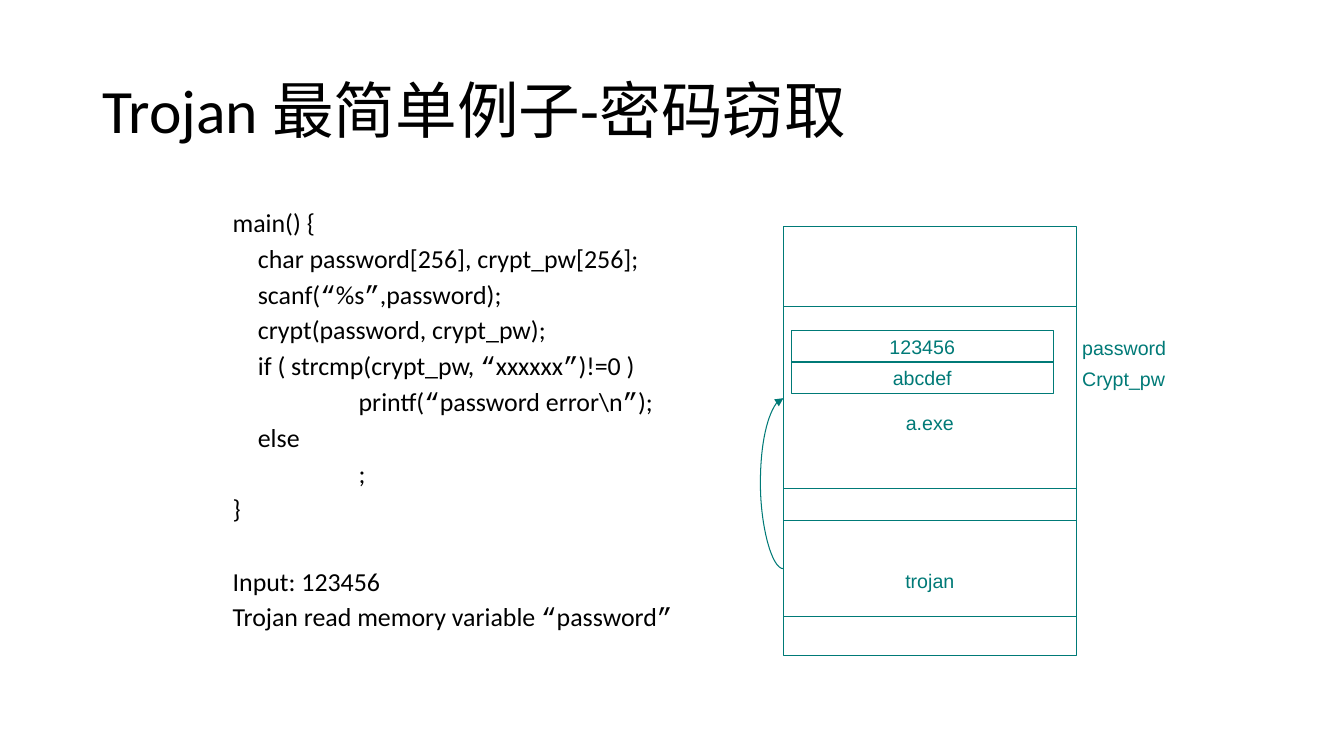
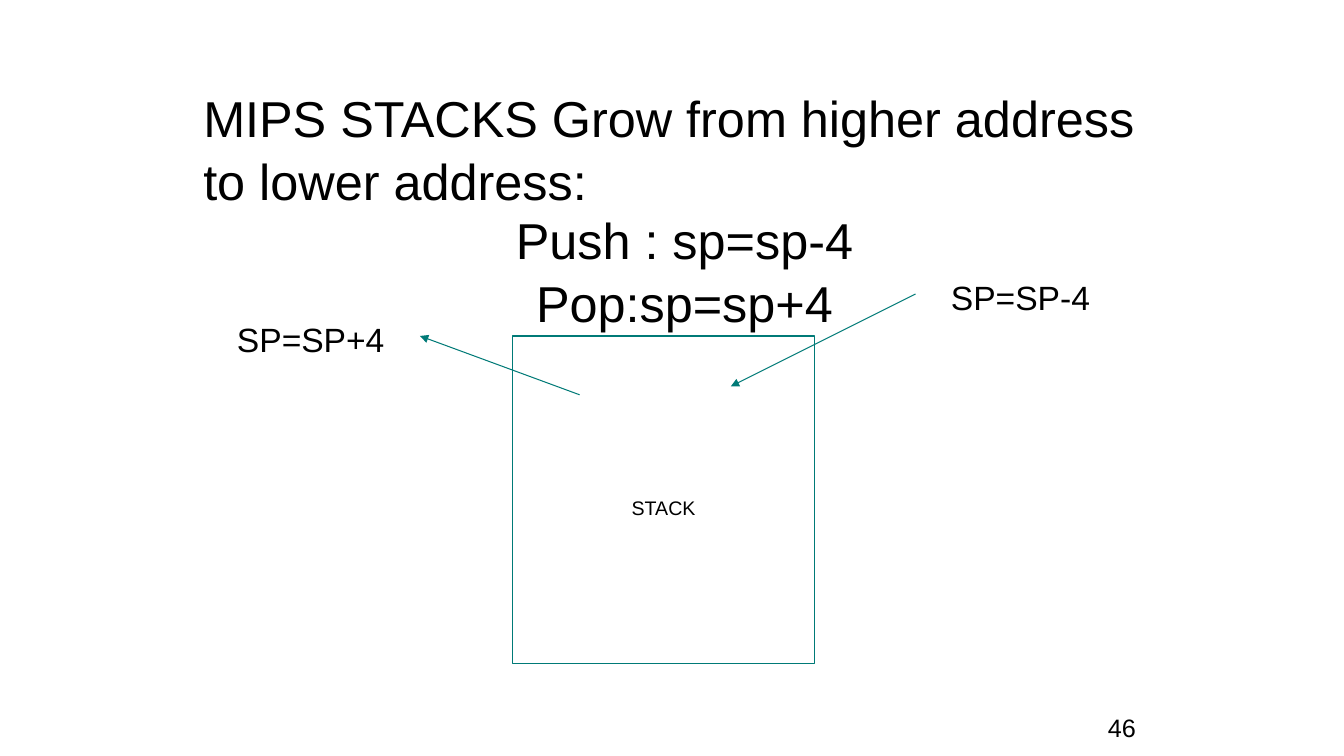
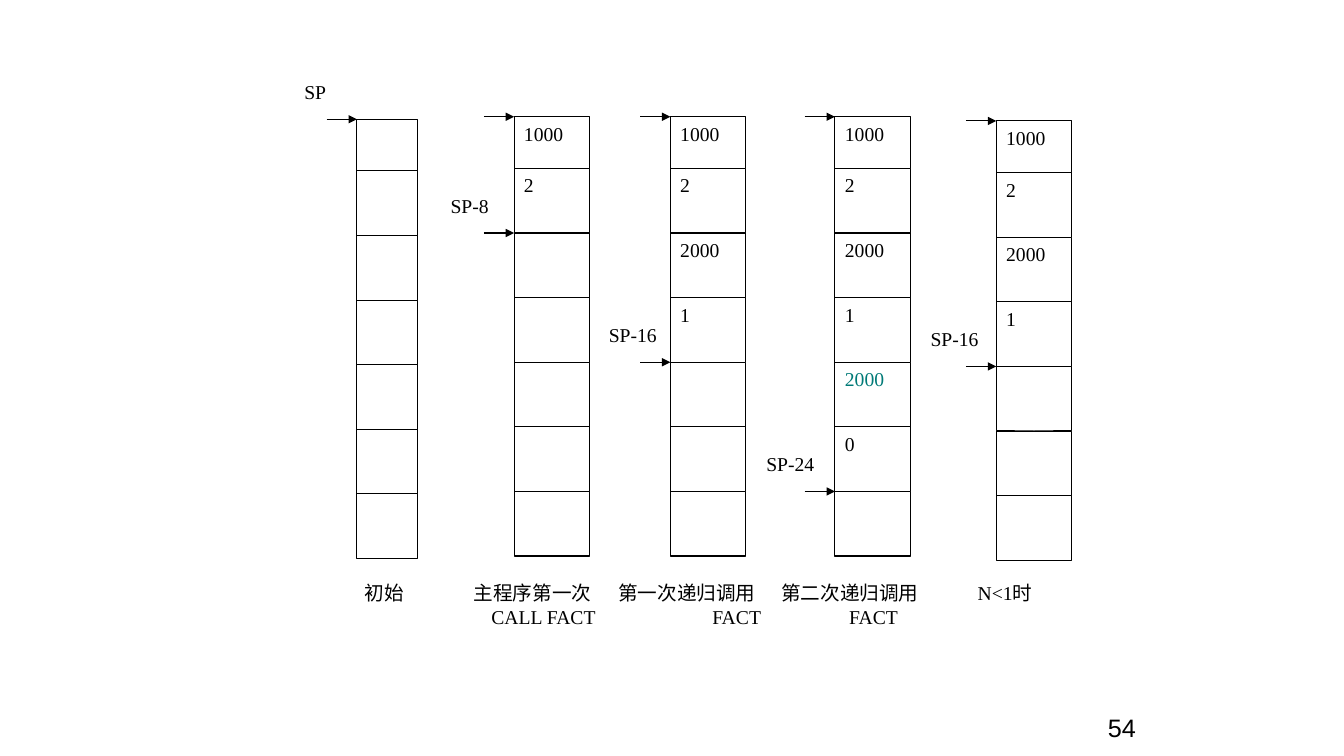
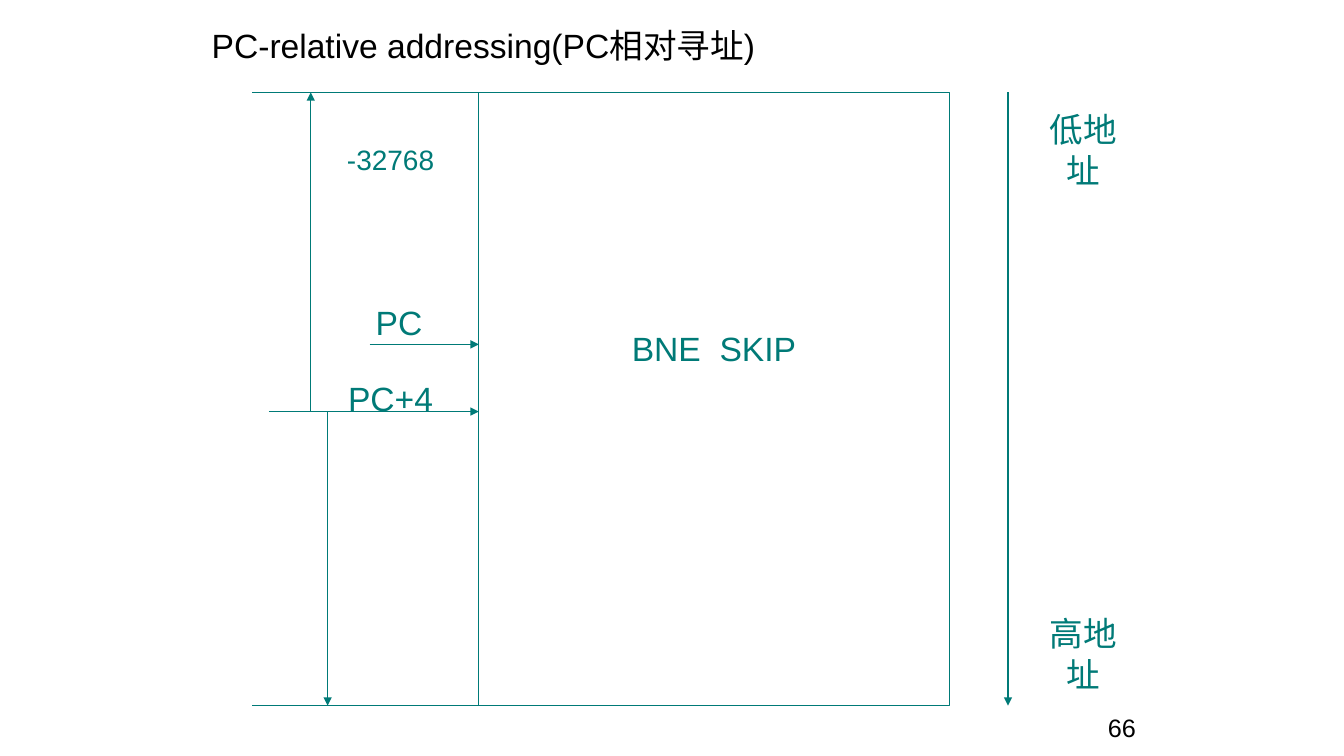
import dataclasses
import itertools

import lxml.etree
import pptx
import pptx.dml.color
import pptx.enum.shapes
import pptx.enum.text
import pptx.oxml.ns
import pptx.util

ALIGN = pptx.enum.text.PP_ALIGN
ANCHOR = pptx.enum.text.MSO_ANCHOR
SHAPE = pptx.enum.shapes.MSO_SHAPE
CONNECTOR = pptx.enum.shapes.MSO_CONNECTOR
COLUMNS, ROWS = 160, 90
TITLE_ONLY, TITLE_AND_BODY, BLANK = 5, 1, 6


@dataclasses.dataclass(frozen=True)
class Theme:
    teal: str = "007A77"
    black: str = "000000"
    white: str = "FFFFFF"
    sans: str = "Arial"
    serif: str = "Times New Roman"
    text: str = "Calibri"
    quote: str = "Courier New"
    title: float = 44
    headline: float = 36
    note: float = 24
    offset: float = 20
    page: float = 18
    code: float = 18.5
    label: float = 14
    line: float = 0.75


THEME = Theme()


@dataclasses.dataclass(frozen=True)
class Box:
    left: float
    top: float
    width: float
    height: float

    def inside(self, left, top, width, height):
        return Box(self.left + left, self.top + top, width, height)

    def point(self, column, row):
        return self.left + column, self.top + row

    @property
    def frame(self):
        return [grid(value) for value in (self.left, self.top, self.width, self.height)]


def grid(units):
    return pptx.util.Inches(units / 12)


def rgb(colour):
    return pptx.dml.color.RGBColor.from_string(colour)


def apply(target, values):
    for name, value in values.items():
        setattr(target, name, value)


def add_child(parent, tag, **attributes):
    child = lxml.etree.SubElement(parent, pptx.oxml.ns.qn(tag))
    for name, value in attributes.items():
        child.set(name, value)
    return child


def add_span(para, text, font, size, colour):
    span = para.add_run()
    span.text = text
    apply(span.font, {"name": font, "size": pptx.util.Pt(size)})
    span.font.color.rgb = rgb(colour)


def write(frame, lines, font, size, colour, para_format, frame_format):
    apply(frame, {"word_wrap": True, "auto_size": pptx.enum.text.MSO_AUTO_SIZE.NONE,
                  "vertical_anchor": ANCHOR.TOP, **frame_format})
    for index, line in enumerate(lines):
        para = frame.add_paragraph() if index else frame.paragraphs[0]
        apply(para, para_format)
        for quoted, letters in itertools.groupby(line, lambda letter: letter in "“”"):
            add_span(para, "".join(letters), THEME.quote if quoted else font, size, colour)


def place(shape, box):
    apply(shape, dict(zip(("left", "top", "width", "height"), box.frame)))


def indent(para, left, first=0):
    properties = para._p.get_or_add_pPr()
    properties.set("marL", str(grid(left)))
    properties.set("indent", str(grid(first)))


def unbullet(frame):
    for para in frame.paragraphs:
        indent(para, 0)
        add_child(para._p.get_or_add_pPr(), "a:buNone")


def add_title(page, box, text, font, size, spacing=1.0, anchor=ANCHOR.TOP):
    title = page.shapes.title
    place(title, box)
    write(title.text_frame, [text], font, size, THEME.black,
          {"alignment": ALIGN.LEFT, "line_spacing": spacing},
          {"vertical_anchor": anchor,
           "margin_top": grid(1 if anchor == ANCHOR.TOP else 0.6)})


def add_note(page, box, text, size=THEME.note, colour=THEME.teal, alignment=ALIGN.CENTER):
    note = page.shapes.add_textbox(*box.frame)
    write(note.text_frame, [text], THEME.sans, size, colour,
          {"alignment": alignment}, {"margin_top": grid(1)})


def add_page_number(page, number):
    add_note(page, Box(106.4, 83.75, 30, 6.25), number, THEME.page, THEME.black, ALIGN.RIGHT)


def add_rectangle(page, box, colour=THEME.teal, fill=None):
    rectangle = page.shapes.add_shape(SHAPE.RECTANGLE, *box.frame)
    rectangle.shadow.inherit = False
    if fill:
        rectangle.fill.solid()
        rectangle.fill.fore_color.rgb = rgb(fill)
    else:
        rectangle.fill.background()
    rectangle.line.color.rgb = rgb(colour)
    rectangle.line.width = pptx.util.Pt(THEME.line)
    return rectangle


def add_line(page, start, end, colour=THEME.teal, arrow=True, kind=CONNECTOR.STRAIGHT):
    line = page.shapes.add_connector(kind, *[grid(value) for value in (*start, *end)])
    line.line.color.rgb = rgb(colour)
    line.line.width = pptx.util.Pt(THEME.line)
    properties = line.element.spPr
    if arrow:
        add_child(properties.get_or_add_ln(), "a:tailEnd", type="triangle")
    add_child(properties, "a:effectLst")
    return line


def add_return_curve(page, start, end):
    curve = add_line(page, start, end, kind=CONNECTOR.CURVE)
    properties = curve.element.spPr
    transform = properties.find(pptx.oxml.ns.qn("a:xfrm"))
    transform.set("rot", "10800000")
    transform.set("flipH", "1")
    geometry = properties.find(pptx.oxml.ns.qn("a:prstGeom"))
    for guides in geometry.findall(pptx.oxml.ns.qn("a:avLst")):
        geometry.remove(guides)
    add_child(add_child(geometry, "a:avLst"), "a:gd", name="adj1", fmla="val -14400000")


def add_code(page, box):
    lines = [
        (0, "main() {"),
        (3, "char password[256], crypt_pw[256];"),
        (3, "scanf(“%s”,password);"),
        (3, "crypt(password, crypt_pw);"),
        (3, "if ( strcmp(crypt_pw, “xxxxxx”)!=0 )"),
        (15, "printf(“password error\\n”);"),
        (3, "else"),
        (15, ";"),
        (0, "}"),
        (0, "Input: 123456"),
        (0, "Trojan read memory variable “password”"),
    ]
    body = page.placeholders[1]
    place(body, box)
    frame = body.text_frame
    write(frame, [text for _, text in lines], THEME.text, THEME.code, THEME.black,
          {"line_spacing": 0.7, "space_before": pptx.util.Pt(10)}, {})
    unbullet(frame)
    for para, (left, text) in zip(frame.paragraphs, lines):
        indent(para, left or 3, 0 if left else -3)
        if text.startswith("Input"):
            para.space_before = pptx.util.Pt(36)


def add_memory(page, box):
    add_rectangle(page, box)
    parts = [
        ("123456", box.inside(0.95, 12.35, 31.2, 3.8), 0.6),
        ("abcdef", box.inside(0.95, 16.1, 31.2, 3.8), 0.6),
        ("a.exe", box.inside(0, 9.5, box.width, 21.7), 6.6),
        ("trojan", box.inside(0, 35, box.width, 11.4), 3.4),
    ]
    for text, part, margin in parts:
        write(add_rectangle(page, part).text_frame, [text], THEME.sans, THEME.label, THEME.teal,
              {"alignment": ALIGN.CENTER},
              {"word_wrap": False, "vertical_anchor": ANCHOR.MIDDLE, "margin_top": grid(margin)})
    add_return_curve(page, box.point(0, 20.4), box.point(0.02, 40.7))
    for row, name in ((12.35, "password"), (16.1, "Crypt_pw")):
        label = page.shapes.add_textbox(*box.inside(box.width - 0.5, row, 12.4, 4).frame)
        write(label.text_frame, [name], THEME.sans, THEME.label, THEME.teal,
              {}, {"word_wrap": False})


def add_stack_rules(page, box):
    body = page.placeholders[1]
    place(body, box)
    write(body.text_frame, ["Push : sp=sp-4", "Pop:sp=sp+4"], THEME.sans, THEME.headline,
          THEME.black, {"alignment": ALIGN.CENTER, "line_spacing": 1.05,
                        "space_before": pptx.util.Pt(0)}, {"margin_top": grid(1)})
    unbullet(body.text_frame)


def add_stack_flow(page, box):
    add_rectangle(page, box)
    add_line(page, box.point(48, -5), box.point(26, 6))
    add_line(page, box.point(8, 7), box.point(-11, 0))
    for place_at, text, size in (
        ((49, -8, 23, 6), "SP=SP-4", THEME.note),
        ((-36, -3, 24, 6), "SP=SP+4", THEME.note),
        ((7, 18, 22, 4), "STACK", THEME.label),
    ):
        add_note(page, box.inside(*place_at), text, size, THEME.black)


def add_frame_text(page, shape, text, colour=THEME.black):
    write(shape.text_frame, [text], THEME.serif, THEME.label, colour,
          {"alignment": ALIGN.LEFT}, {})


def add_call_stack(page, box, values, pointers):
    first, cells = 6.15, 7
    step = (box.height - first) / (cells - 1)
    edges = [0] + [first + step * index for index in range(cells)]
    for index, (top, bottom) in enumerate(itertools.pairwise(edges)):
        cell = add_rectangle(page, box.inside(0, top, box.width, bottom - top),
                             THEME.black, THEME.white)
        if index < len(values):
            add_frame_text(page, cell, values[index], THEME.teal if index == 4 else THEME.black)
    for edge, label, reach in pointers:
        add_line(page, box.point(-3.6, edges[edge]), box.point(0, edges[edge]), THEME.black)
        if label:
            area = box.inside(-reach, edges[edge] - 5.3, 9, 4.5)
            add_frame_text(page, page.shapes.add_textbox(*area.frame), label)


def add_caption(page, box, lines, second_indent):
    caption = page.shapes.add_textbox(*box.frame)
    write(caption.text_frame, lines, THEME.serif, THEME.label, THEME.black, {},
          {"word_wrap": False, "margin_left": 0})
    for para in caption.text_frame.paragraphs[1:]:
        indent(para, second_indent)


def add_address_map(page, box):
    add_rectangle(page, box)
    middle, side = 38, box.width + 7
    for start, end, arrow in (
        ((-13, 30), (0, 30), True),
        ((-25, middle), (0, middle), True),
        ((0, box.height), (-27, box.height), False),
        ((0, 0), (-27, 0), False),
        ((-20, middle), (-20, 0), True),
        ((-18, middle), (-18, box.height), True),
        ((side, 0), (side, box.height), True),
    ):
        add_line(page, box.point(*start), box.point(*end), arrow=arrow)
    for place_at, text, size in (
        ((-18, 24, 17, 6), "PC", THEME.note),
        ((-19, 33, 17, 6), "PC+4", THEME.note),
        ((1, 27, 54, 6), "BNE  SKIP", THEME.note),
        ((side + 3, 1, 12, 11), "低地址", THEME.note),
        ((side + 3, 61, 12, 11), "高地址", THEME.note),
        ((-18, 5, 15, 5), "-32768", THEME.offset),
    ):
        add_note(page, box.inside(*place_at), text, size)


def add_trojan_page(page):
    add_title(page, Box(11, 4.8, 138, 17.4), "Trojan 最简单例子-密码窃取",
              THEME.text, THEME.title, 0.9, ANCHOR.MIDDLE)
    add_code(page, Box(26.5, 25, 63, 54))
    add_memory(page, Box(93.25, 27, 34.9, 51))


def add_stack_page(page):
    add_title(page, Box(23, 9, 117, 15),
              "MIPS STACKS Grow from higher address to lower address:",
              THEME.sans, THEME.headline, 1.05)
    add_stack_rules(page, Box(23, 23.5, 117, 15))
    add_stack_flow(page, Box(61, 40, 36, 39))
    add_page_number(page, "46")


def add_recursion_page(page):
    stacks = [
        (42.5, 14.2, 7.2, [], [(0, "SP", 7.45)]),
        (61.2, 13.9, 9, ["1000", "2"], [(0, "", 0), (2, "SP-8", 8.75)]),
        (79.8, 13.9, 9, ["1000", "2", "2000", "1"], [(0, "", 0), (4, "SP-16", 8.5)]),
        (99.4, 13.9, 9, ["1000", "2", "2000", "1", "2000", "0"],
         [(0, "", 0), (6, "SP-24", 9.35)]),
        (118.6, 14.4, 9, ["1000", "2", "2000", "1"], [(0, "", 0), (4, "SP-16", 9)]),
    ]
    for left, top, width, values, pointers in stacks:
        add_call_stack(page, Box(left, top, width, 52.3), values, pointers)
    captions = [
        (43.4, ["初始"], 0),
        (56.4, ["主程序第一次", "CALL FACT"], 2.1),
        (73.6, ["第一次递归调用", "FACT"], 11.2),
        (93, ["第二次递归调用", "FACT"], 8.1),
        (116.4, ["N<1时"], 0),
    ]
    for left, lines, second_indent in captions:
        add_caption(page, Box(left, 68.6, 18, 8), lines, second_indent)
    add_page_number(page, "54")


def add_addressing_page(page):
    add_title(page, Box(24, 2, 116, 7), "PC-relative addressing(PC相对寻址)",
              THEME.sans, THEME.note)
    add_address_map(page, Box(57, 11, 56, 73))
    add_page_number(page, "66")


def main():
    deck = pptx.Presentation()
    apply(deck, {"slide_width": grid(COLUMNS), "slide_height": grid(ROWS)})
    for layout, build in (
        (TITLE_AND_BODY, add_trojan_page),
        (TITLE_AND_BODY, add_stack_page),
        (BLANK, add_recursion_page),
        (TITLE_ONLY, add_addressing_page),
    ):
        build(deck.slides.add_slide(deck.slide_layouts[layout]))
    deck.save("out.pptx")


if __name__ == "__main__":
    main()
